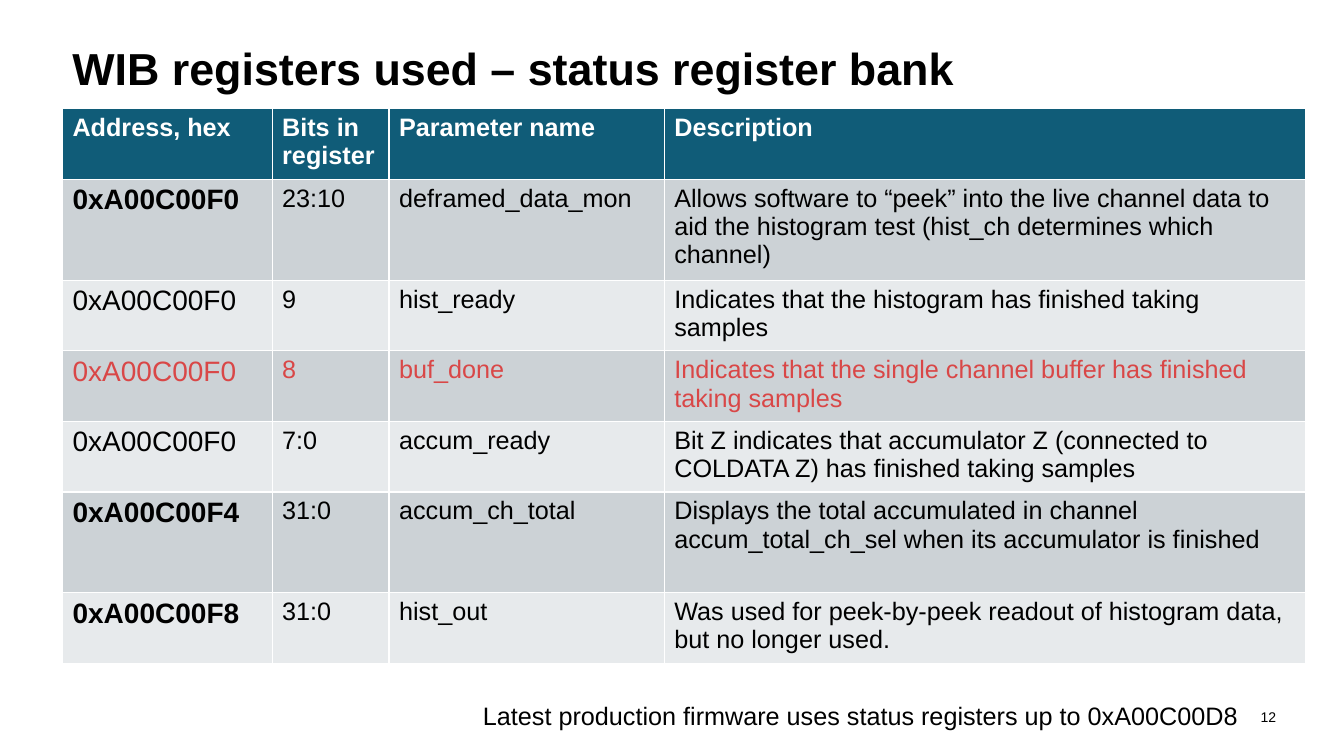
from dataclasses import dataclass

from pptx import Presentation
from pptx.dml.color import RGBColor
from pptx.enum.text import MSO_ANCHOR as Anchor, PP_ALIGN as Align
from pptx.slide import Slide
from pptx.text.text import TextFrame
from pptx.util import Emu, Inches, Pt

PAGE_WIDTH, PAGE_HEIGHT = Inches(13.33), Inches(7.5)
FONT = "Arial"
BLACK = RGBColor(0x00, 0x00, 0x00)
WHITE = RGBColor(0xFF, 0xFF, 0xFF)
RED = RGBColor(0xD9, 0x47, 0x47)
TEAL = RGBColor(0x10, 0x5C, 0x78)
BANDS = RGBColor(0xCC, 0xD2, 0xD6), RGBColor(0xE7, 0xEA, 0xEC)

# Shares of the page, in percent
LEFT = 4.65
TABLE_TOP = 14.4
COLUMN_SHARES = 15.6, 8.7, 20.48, 47.7
LINE_SHARE = 4
ROW_PADDING = 1.33


@dataclass(frozen=True)
class Register:
    address: str
    bits: str
    name: str
    description: str
    lines: int = 2
    bold: bool = False
    color: RGBColor = BLACK


HEADINGS = "Address, hex", "Bits in register", "Parameter name", "Description"
REGISTERS = [
    Register("0xA00C00F0", "23:10", "deframed_data_mon",
             "Allows software to “peek” into the live channel data to aid the "
             "histogram test (hist_ch determines which channel)", lines=3, bold=True),
    Register("0xA00C00F0", "9", "hist_ready",
             "Indicates that the histogram has finished taking samples"),
    Register("0xA00C00F0", "8", "buf_done",
             "Indicates that the single channel buffer has finished taking samples",
             color=RED),
    Register("0xA00C00F0", "7:0", "accum_ready",
             "Bit Z indicates that accumulator Z (connected to COLDATA Z) "
             "has finished taking samples"),
    Register("0xA00C00F4", "31:0", "accum_ch_total",
             "Displays the total accumulated in channel accum_total_ch_sel "
             "when its accumulator is finished", lines=3, bold=True),
    Register("0xA00C00F8", "31:0", "hist_out",
             "Was used for peek-by-peek readout of histogram data, "
             "but no longer used.", bold=True),
]


def across(share: float) -> Emu:
    return Emu(round(PAGE_WIDTH * share / 100))


def down(share: float) -> Emu:
    return Emu(round(PAGE_HEIGHT * share / 100))


def write(frame: TextFrame, text: str, *, size: float = 18, bold: bool = False,
          color: RGBColor = BLACK, align: Align = Align.LEFT,
          spacing: float = 1.0) -> None:
    para = frame.paragraphs[0]
    para.alignment = align
    para.line_spacing = spacing
    span = para.add_run()
    span.text = text
    span.font.name = FONT
    span.font.size = Pt(size)
    span.font.bold = bold
    span.font.color.rgb = color


def add_text(page: Slide, text: str, left: float, top: float, width: float,
             height: float, *, anchor: Anchor = Anchor.TOP, **style) -> TextFrame:
    """Place a text box by its shares of the page and return its frame."""
    box = page.shapes.add_textbox(across(left), down(top), across(width), down(height))
    frame = box.text_frame
    frame.word_wrap = True
    frame.vertical_anchor = anchor
    write(frame, text, **style)
    return frame


def add_register_table(page: Slide) -> None:
    heights = [LINE_SHARE * lines + ROW_PADDING
               for lines in (2, *(register.lines for register in REGISTERS))]
    table = page.shapes.add_table(
        len(heights), len(COLUMN_SHARES), across(LEFT), down(TABLE_TOP),
        across(sum(COLUMN_SHARES)), down(sum(heights))).table
    for column, share in zip(table.columns, COLUMN_SHARES):
        column.width = across(share)
    for row, share in zip(table.rows, heights):
        row.height = down(share)

    for cell, heading in zip(table.rows[0].cells, HEADINGS):
        cell.fill.solid()
        cell.fill.fore_color.rgb = TEAL
        write(cell.text_frame, heading, bold=True, color=WHITE)

    for index, register in enumerate(REGISTERS):
        texts = register.address, register.bits, register.name, register.description
        for column, text in enumerate(texts):
            cell = table.cell(index + 1, column)
            cell.fill.solid()
            cell.fill.fore_color.rgb = BANDS[index % 2]
            is_address = column == 0
            write(cell.text_frame, text, size=20 if is_address else 18,
                  bold=is_address and register.bold, color=register.color)


def main() -> None:
    deck = Presentation()
    deck.slide_width, deck.slide_height = PAGE_WIDTH, PAGE_HEIGHT
    page = deck.slides.add_slide(deck.slide_layouts[6])

    add_text(page, "WIB registers used – status register bank", LEFT, 5.33, 90.6, 8.13,
             anchor=Anchor.MIDDLE, size=32, bold=True, spacing=0.9)
    add_register_table(page)
    add_text(page, "Latest production firmware uses status registers up to 0xA00C00D8",
             31.06, 92, 61.8, 5.33, align=Align.RIGHT)
    number = add_text(page, "12", 91.8, 92.1, 3.53, 5.33,
                      anchor=Anchor.MIDDLE, size=10, align=Align.RIGHT)
    number.margin_left = number.margin_top = number.margin_bottom = 0
    number.margin_right = Inches(0.05)

    deck.save("out.pptx")


if __name__ == "__main__":
    main()
